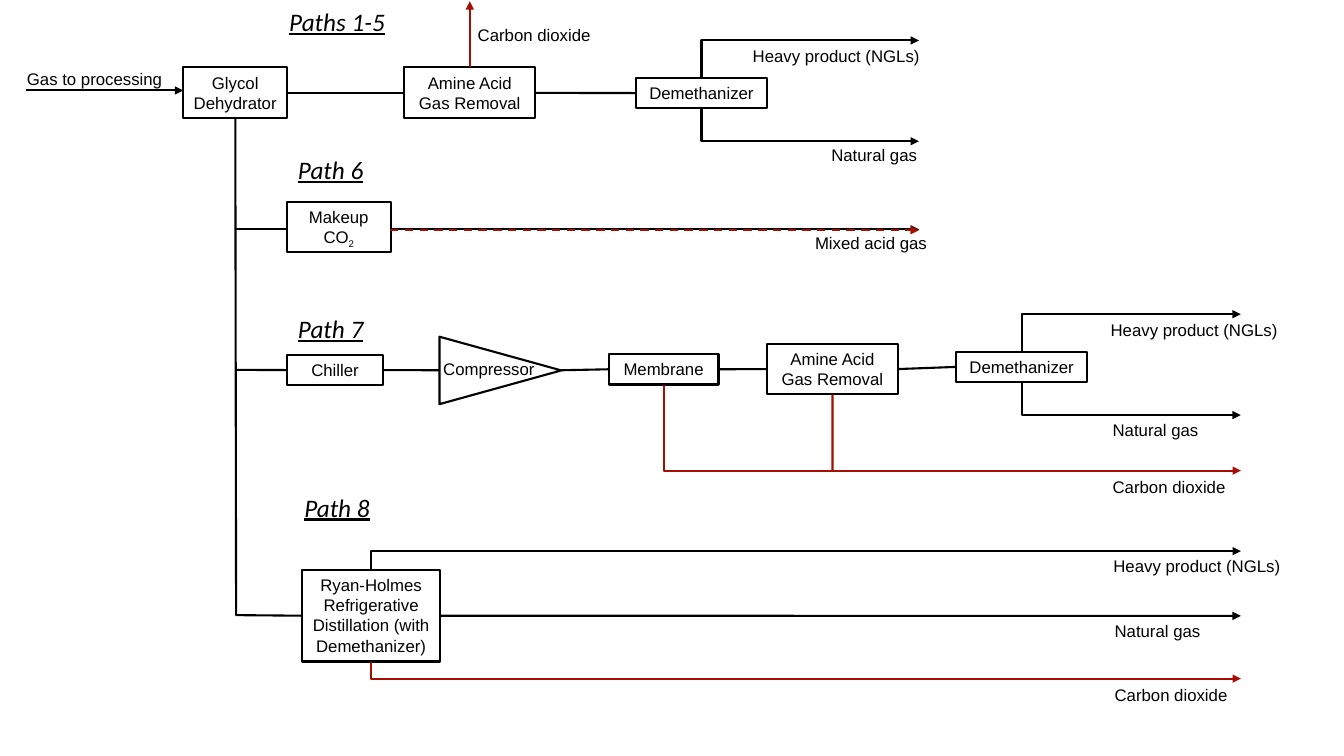
from lxml import etree
from pptx import Presentation
from pptx import util as u
from pptx.dml.color import RGBColor
from pptx.enum import dml, shapes, text
from pptx.oxml.ns import qn

BLACK = RGBColor(0x00, 0x00, 0x00)
RED = RGBColor(0xA7, 0x0D, 0x00)
TOP, LEFT, BOTTOM, RIGHT = range(4)
ONE_LINE, TWO_LINES = 0.77, 1.28
SHORT_TIP, LONG_TIP = 23.16, 31.27
TRUNK_X = 5.93


class FlowDiagram:
    font, size, weight = "Arial", 12, 1.5

    def __init__(self, slide):
        self.shapes = slide.shapes

    def add_text(self, sp, runs, align=None, wrap=True, heading=False):
        """Fill sp with (string, baseline) runs."""
        tf = sp.text_frame
        tf.word_wrap = wrap
        tf.auto_size = text.MSO_AUTO_SIZE.SHAPE_TO_FIT_TEXT
        tf.vertical_anchor = text.MSO_ANCHOR.TOP
        p = tf.paragraphs[0]
        p.alignment = align
        for string, baseline in runs:
            r = p.add_run()
            r.text = string
            r.font.name = "Calibri" if heading else self.font
            r.font.size = u.Pt(18 if heading else self.size)
            r.font.color.rgb = BLACK
            if heading:
                r.font.italic = r.font.underline = True
            if baseline:
                r.font._element.set("baseline", str(baseline))

    def outline(self, kind, x, y, w, h):
        sp = self.shapes.add_shape(kind, u.Cm(x), u.Cm(y), u.Cm(w), u.Cm(h))
        sp.shadow.inherit = False
        sp.fill.background()
        sp.line.color.rgb = BLACK
        sp.line.width = u.Pt(self.weight)
        return sp

    def box(self, x, y, w, h, name, subscript=None):
        sp = self.outline(shapes.MSO_SHAPE.RECTANGLE, x, y, w, h)
        runs = [(name, 0)] + ([(subscript, -25000)] if subscript else [])
        self.add_text(sp, runs, text.PP_ALIGN.CENTER)
        return sp

    def label(self, x, y, string, w=5.18):
        sp = self.shapes.add_textbox(u.Cm(x), u.Cm(y), u.Cm(w), u.Cm(ONE_LINE))
        self.add_text(sp, [(string, 0)])

    def heading(self, x, y, string, w=2.18):
        sp = self.shapes.add_textbox(u.Cm(x), u.Cm(y), u.Cm(w), u.Cm(1.03))
        self.add_text(sp, [(string, 0)], wrap=False, heading=True)

    def style(self, c, color, arrow, dashed=False):
        c.line.color.rgb = color
        c.line.width = u.Pt(self.weight)
        if dashed:
            c.line.dash_style = dml.MSO_LINE.DASH
        if arrow:
            ln = c.line._get_or_add_ln()
            etree.SubElement(ln, qn("a:tailEnd")).set("type", "triangle")
        etree.SubElement(c._element.spPr, qn("a:effectLst"))

    def line(self, start, end, color=BLACK, arrow=False, dashed=False):
        """Straight line; each end is an (x, y) point or a (box, side) pair."""
        c = self.shapes.add_connector(shapes.MSO_CONNECTOR.STRAIGHT, 0, 0, 0, 0)
        if isinstance(start[0], (int, float)):
            c.begin_x, c.begin_y = map(u.Cm, start)
        else:
            c.begin_connect(*start)
        if isinstance(end[0], (int, float)):
            c.end_x, c.end_y = map(u.Cm, end)
        else:
            c.end_connect(*end)
        self.style(c, color, arrow, dashed)

    def elbow(self, sp, side, tip_x, tip_y, color=BLACK):
        """Arrow leaving a box's top or bottom, then turning right to its tip."""
        x1 = sp.left + sp.width // 2
        y1 = sp.top + (sp.height if side == BOTTOM else 0)
        x2, y2 = u.Cm(tip_x), u.Cm(tip_y)
        run, rise = x2 - x1, abs(y2 - y1)
        # The frame is stored before its quarter turn, so its sides are swapped.
        left, top = (x1 + x2 - rise) // 2, (y1 + y2 - run) // 2
        c = self.shapes.add_connector(shapes.MSO_CONNECTOR.ELBOW, left, top,
                                      left + rise, top + run)
        spPr = c._element.spPr
        spPr.find(qn("a:prstGeom")).set("prst", "bentConnector2")
        xfrm = spPr.find(qn("a:xfrm"))
        xfrm.set("rot", str((90 if side == TOP else 270) * 60000))
        xfrm.set("flipH", "1")
        if side == TOP:
            xfrm.set("flipV", "1")
        self.style(c, color, True)


def paths_1_to_5(d):
    d.heading(7.04, 0.03, "Paths 1-5", 2.95)
    d.label(0.43, 1.6, "Gas to processing", 5.54)
    glycol = d.box(4.62, 1.7, 2.62, TWO_LINES, "Glycol Dehydrator")
    amine = d.box(10.19, 1.7, 3.3, TWO_LINES, "Amine Acid Gas Removal")
    demethanizer = d.box(16.03, 1.96, 3.3, ONE_LINE, "Demethanizer")
    d.line((0.66, 2.28), (4.62, 2.28), arrow=True)
    d.line((glycol, RIGHT), (amine, LEFT))
    d.line((amine, RIGHT), (demethanizer, LEFT))
    d.line((amine, TOP), (11.84, 0.03), RED, arrow=True)
    d.elbow(demethanizer, TOP, SHORT_TIP, 1.02)
    d.elbow(demethanizer, BOTTOM, SHORT_TIP, 3.56)
    d.label(11.79, 0.51, "Carbon dioxide")
    d.label(18.72, 1.04, "Heavy product (NGLs)")
    d.label(20.7, 3.53, "Natural gas", 4.57)
    d.line((glycol, BOTTOM), (5.95, 15.5))


def path_6(d):
    d.heading(7.26, 3.76, "Path 6")
    d.box(7.23, 5.08, 2.62, TWO_LINES, "Makeup CO", "2")
    d.line((TRUNK_X, 5.78), (7.23, 5.78))
    d.line((9.83, 5.78), (SHORT_TIP, 5.78), arrow=True)
    d.line((9.83, 5.8), (SHORT_TIP, 5.8), RED, arrow=True, dashed=True)
    d.label(20.29, 5.74, "Mixed acid gas", 4.57)


def path_7(d):
    d.heading(7.26, 7.77, "Path 7")
    chiller = d.box(7.24, 8.94, 2.41, ONE_LINE, "Chiller")
    compressor = d.outline(shapes.MSO_SHAPE.ISOSCELES_TRIANGLE, 11.76, 7.8, 1.7, 3.07)
    compressor.rotation = 90
    d.label(10.92, 8.92, "Compressor", 3.33)
    membrane = d.box(15.34, 8.92, 2.77, ONE_LINE, "Membrane")
    amine = d.box(19.33, 8.66, 3.3, TWO_LINES, "Amine Acid Gas Removal")
    demethanizer = d.box(24.1, 8.86, 3.3, ONE_LINE, "Demethanizer")
    d.line((TRUNK_X, 9.32), (chiller, LEFT))
    d.line((chiller, RIGHT), (11.07, 9.33))
    d.line((14.15, 9.33), (membrane, LEFT))
    d.line((membrane, RIGHT), (amine, LEFT))
    d.line((amine, RIGHT), (demethanizer, LEFT))
    d.elbow(demethanizer, TOP, LONG_TIP, 7.92)
    d.elbow(demethanizer, BOTTOM, LONG_TIP, 10.46)
    d.elbow(membrane, BOTTOM, LONG_TIP, 11.86, RED)
    d.line((amine, BOTTOM), (20.98, 11.86), RED)
    d.label(27.74, 7.92, "Heavy product (NGLs)")
    d.label(27.79, 10.46, "Natural gas", 4.57)
    d.label(27.79, 11.89, "Carbon dioxide")


def path_8(d):
    d.heading(7.42, 12.27, "Path 8")
    column = d.box(7.62, 14.36, 3.47, 2.31,
                   "Ryan-Holmes Refrigerative Distillation (with Demethanizer)")
    d.line((TRUNK_X, 15.5), (column, LEFT))
    d.elbow(column, TOP, LONG_TIP, 13.89)
    d.line((column, RIGHT), (LONG_TIP, 15.52), arrow=True)
    d.elbow(column, BOTTOM, LONG_TIP, 17.1, RED)
    d.label(27.81, 13.87, "Heavy product (NGLs)")
    d.label(27.84, 15.52, "Natural gas", 4.57)
    d.label(27.84, 17.12, "Carbon dioxide")


def main():
    prs = Presentation()
    prs.slide_width, prs.slide_height = u.Cm(33.87), u.Cm(19.05)
    d = FlowDiagram(prs.slides.add_slide(prs.slide_layouts[6]))
    for draw in (paths_1_to_5, path_6, path_7, path_8):
        draw(d)
    prs.save("out.pptx")


if __name__ == "__main__":
    main()
